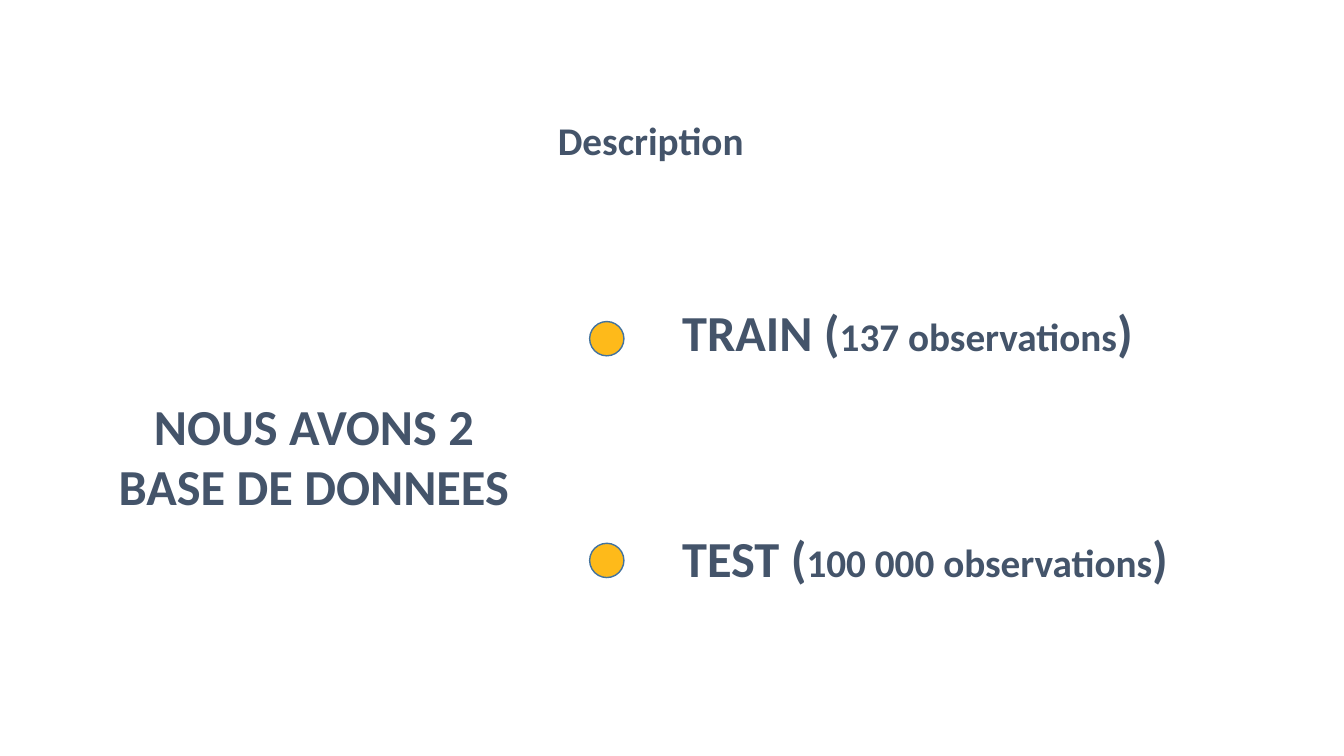
from dataclasses import dataclass

from pptx import Presentation
from pptx.dml.color import RGBColor
from pptx.enum.shapes import MSO_SHAPE
from pptx.enum.text import MSO_ANCHOR, PP_ALIGN
from pptx.slide import Slide
from pptx.util import Pt

COLORS = {"text": "44546A", "dot": "FEBA1A", "outline": "43739E"}
FONT = {"name": "Calibri", "bold": True}
LARGE, SMALL = 36, 28
DOT_LEFT, DOT_SIZE = 421.2, 24.5


@dataclass
class Span:
    text: str
    size: float


@dataclass
class Label:
    left: float
    top: float
    width: float
    height: float
    paragraphs: list[list[Span]]
    alignment: PP_ALIGN = PP_ALIGN.CENTER


@dataclass
class Dataset:
    name: str
    observations: str
    label_top: float
    dot_top: float


HEADINGS = [
    Label(385.9, 79.2, 157.7, 41, [[Span("Description", SMALL)]]),
    Label(47.5, 278.6, 353.5, 94.3,
          [[Span("NOUS AVONS 2", LARGE)], [Span("BASE DE DONNEES", LARGE)]]),
]
DATASETS = [
    Dataset("TRAIN", "137 observations", 211.7, 229.7),
    Dataset("TEST", "100 000 observations", 373, 388.1),
]


def color(name: str) -> RGBColor:
    return RGBColor.from_string(COLORS[name])


def draw_label(page: Slide, label: Label) -> None:
    box = page.shapes.add_textbox(
        Pt(label.left), Pt(label.top), Pt(label.width), Pt(label.height))
    frame = box.text_frame
    frame.word_wrap = True
    frame.vertical_anchor = MSO_ANCHOR.TOP
    for index, spans in enumerate(label.paragraphs):
        para = frame.add_paragraph() if index else frame.paragraphs[0]
        para.alignment = label.alignment
        for span in spans:
            run = para.add_run()
            run.text = span.text
            for attribute, value in {**FONT, "size": Pt(span.size)}.items():
                setattr(run.font, attribute, value)
            run.font.color.rgb = color("text")


def draw_dataset(page: Slide, dataset: Dataset) -> None:
    dot = page.shapes.add_shape(
        MSO_SHAPE.OVAL, Pt(DOT_LEFT), Pt(dataset.dot_top), Pt(DOT_SIZE), Pt(DOT_SIZE))
    dot.shadow.inherit = False
    dot.fill.solid()
    dot.fill.fore_color.rgb = color("dot")
    dot.line.color.rgb = color("outline")
    dot.line.width = Pt(1)
    spans = [Span(f"{dataset.name} (", LARGE), Span(dataset.observations, SMALL),
             Span(")", LARGE)]
    draw_label(page, Label(480.2, dataset.label_top, 429.8, 51, [spans], PP_ALIGN.JUSTIFY))


def main() -> None:
    deck = Presentation()
    deck.slide_width, deck.slide_height = Pt(960), Pt(540)
    page = deck.slides.add_slide(deck.slide_layouts[6])
    for heading in HEADINGS:
        draw_label(page, heading)
    for dataset in DATASETS:
        draw_dataset(page, dataset)
    deck.save("out.pptx")


if __name__ == "__main__":
    main()
